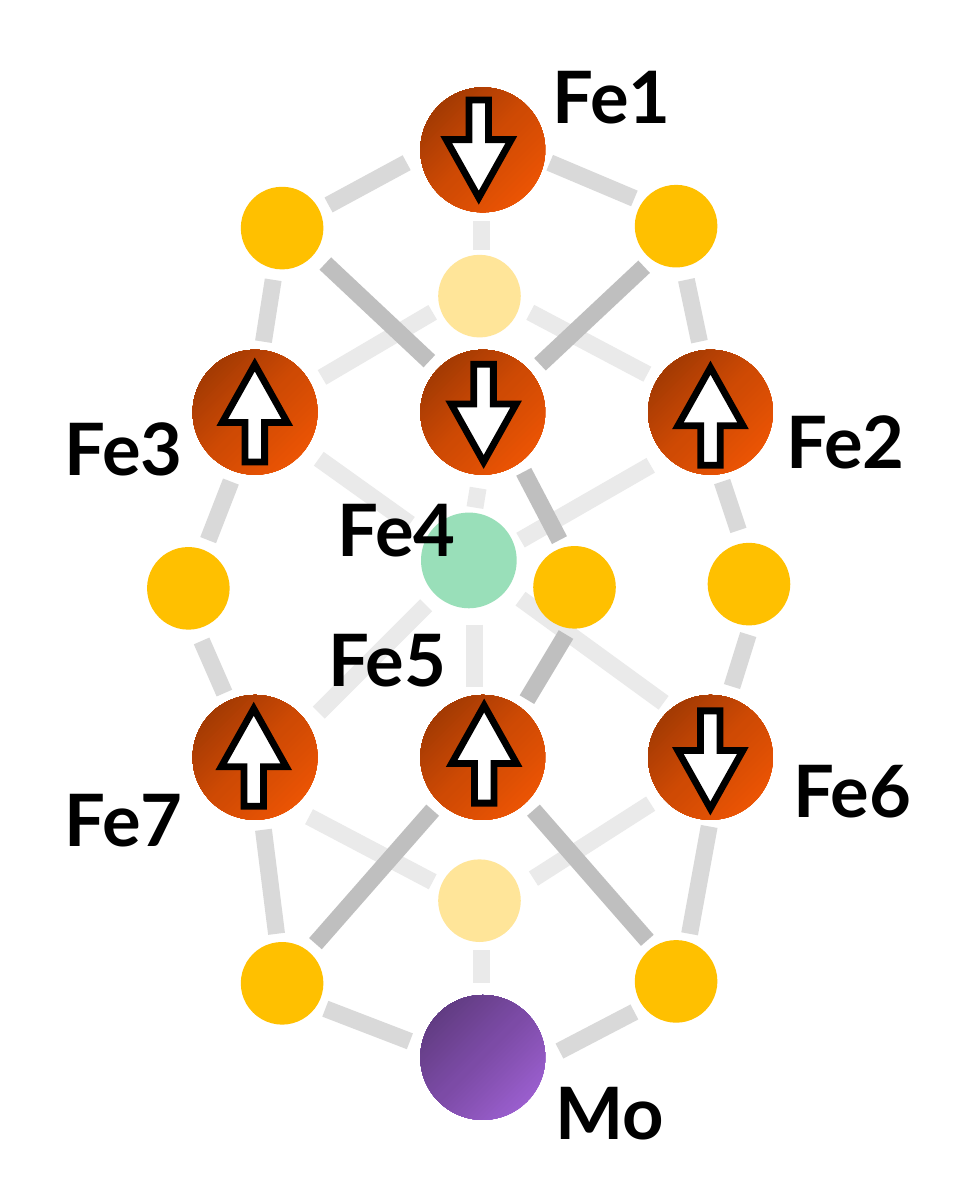
from lxml.etree import SubElement
from pptx import Presentation
from pptx.dml.color import RGBColor
from pptx.enum.shapes import MSO_CONNECTOR, MSO_SHAPE
from pptx.enum.text import MSO_AUTO_SIZE
from pptx.oxml import parse_xml
from pptx.oxml.ns import nsdecls, qn
from pptx.util import Inches, Pt

THEME = {
    "font": "Lato", "label_size": Pt(16), "label": "000000",
    "bond_width": Pt(3.75), "arrow_width": Pt(1.5),
    "far": "EAEAEA", "middle": "D9D9D9", "near": "BFBFBF",
    "sulfur": "FFC000", "carbon": "00B050", "arrow": "FFFFFF", "outline": "000000",
    "iron": ((0, "923403"), (50, "CF4A04"), (100, "F65804")),
    "molybdenum": ((0, "573674"), (49, "7C4BA6"), (100, "A666DD")),
}

deck = Presentation()
deck.slide_width, deck.slide_height = Inches(3), Inches(3.7)
page = deck.slides.add_slide(deck.slide_layouts[6])
cluster = page.shapes.add_group_shape().shapes

# Square grid of 30 columns by 37 rows
CELL = deck.slide_width / 30


def draw_bonds(depth, bonds):
    for ends in bonds:
        bond = cluster.add_connector(MSO_CONNECTOR.STRAIGHT, *(round(CELL * end) for end in ends))
        bond.line.color.rgb = RGBColor.from_string(THEME[depth])
        bond.line.width = THEME["bond_width"]
        SubElement(bond._element.spPr, qn("a:effectLst"))


def draw_shape(shapes, preset, column, row, width, height):
    """Place a plain shape by its centre."""
    shape = shapes.add_shape(preset, round(CELL * (column - width / 2)), round(CELL * (row - height / 2)),
                             round(CELL * width), round(CELL * height))
    shape.shadow.inherit = False
    return shape


# Bonds behind the atoms
draw_bonds("far", [(16, 18.4, 20.4, 21.6), (14.6, 19.2, 14.6, 21.1)])

# Metal atoms with a gradient lit from one corner
LEFT, CENTRE, RIGHT = 7.84, 14.84, 21.84
TOP, UPPER, LOWER, BOTTOM = 4.61, 12.67, 23.28, 32.5
metals = [("iron", CENTRE, TOP), ("molybdenum", CENTRE, BOTTOM)]
metals += [("iron", column, row) for row in (UPPER, LOWER) for column in (LEFT, CENTRE, RIGHT)]
for metal, column, row in metals:
    atom = draw_shape(cluster, MSO_SHAPE.OVAL, column, row, 3.84, 3.84)
    atom.line.fill.background()
    stops = "".join(f'<a:gs pos="{share * 1000}"><a:srgbClr val="{color}"/></a:gs>'
                    for share, color in THEME[metal])
    gradient = parse_xml(
        f'<a:gradFill {nsdecls("a")} rotWithShape="1"><a:gsLst>{stops}</a:gsLst>'
        '<a:path path="circle"><a:fillToRect r="100000" b="100000"/></a:path></a:gradFill>')
    atom._element.spPr.insert(2, gradient)

# Sulfur and carbon atoms: column, row, diameter, opacity in percent
light_atoms = [
    ("sulfur", 8.67, 7.01, 2.54, 100), ("sulfur", 20.78, 6.95, 2.54, 100),
    ("sulfur", 8.67, 30.22, 2.54, 100), ("sulfur", 20.78, 30.16, 2.54, 100),
    ("sulfur", 14.74, 9.1, 2.54, 40), ("sulfur", 14.74, 27.68, 2.54, 40),
    ("carbon", 14.41, 17.22, 2.94, 40), ("sulfur", 17.66, 18.05, 2.54, 100),
    ("sulfur", 5.79, 18.08, 2.54, 100), ("sulfur", 23.02, 17.95, 2.54, 100),
]
for element, column, row, diameter, opacity in light_atoms:
    atom = draw_shape(cluster, MSO_SHAPE.OVAL, column, row, diameter, diameter)
    atom.fill.solid()
    atom.fill.fore_color.rgb = RGBColor.from_string(THEME[element])
    atom.line.fill.background()
    if opacity < 100:
        color = atom._element.spPr.find(qn("a:solidFill"))[0]
        SubElement(color, qn("a:alpha"), val=str(opacity * 1000))

# Bonds in front of the atoms, from far to near
draw_bonds("far", [
    (9.8, 14.1, 12.6, 16.1), (14.7, 15, 14.6, 15.6), (16, 16.6, 20, 14.3),
    (9.8, 21.9, 13.1, 18.6), (9.5, 25.1, 13.3, 27.1), (16.4, 27, 20, 24.7),
    (14.8, 29.2, 14.8, 30.2), (16.3, 9.6, 19.9, 11.5), (9.9, 11.6, 13.3, 9.6),
    (14.8, 6.8, 14.8, 7.7),
])
draw_bonds("middle", [
    (22.2, 14.8, 22.7, 16.3), (23, 19.5, 22.5, 21.1), (7.1, 14.8, 6.4, 16.6),
    (6.2, 19.7, 6.9, 21.3), (19.5, 31.1, 17.2, 32.3), (12.6, 32, 10, 31),
    (8.1, 25.5, 8.5, 28.7), (21.8, 25.4, 21.2, 28.7), (19.5, 6.1, 16.9, 5),
    (12.5, 5, 10.1, 6.3), (8.4, 8.6, 8.1, 10.5), (21.1, 8.6, 21.5, 10.5),
])
draw_bonds("near", [
    (16.1, 14.5, 17.2, 16.6), (17.4, 19.5, 16.2, 21.5), (13.3, 24.9, 9.7, 29),
    (16.4, 24.9, 19.9, 28.9), (10, 8.1, 13.2, 11.1), (16.6, 11.2, 19.8, 8.2),
])

# Atom labels
labels = [
    ("Fe1", 16, 1.1), ("Fe3", 1, 11.9), ("Fe4", 9.4, 14.4), ("Fe2", 23.2, 11.7),
    ("Fe7", 1, 23.3), ("Fe5", 9.1, 18.4), ("Fe6", 23.4, 22.4), ("Mo", 16.1, 32.3),
]
for name, column, row in labels:
    box = cluster.add_textbox(*(round(CELL * length) for length in (column, row, 7.1, 3.7)))
    box.text_frame.word_wrap = True
    box.text_frame.auto_size = MSO_AUTO_SIZE.SHAPE_TO_FIT_TEXT
    para = box.text_frame.paragraphs[0]
    para.text = name
    para.font.name = THEME["font"]
    para.font.size = THEME["label_size"]
    para.font.bold = True
    para.font.color.rgb = RGBColor.from_string(THEME["label"])

# Spin arrows: centre and rotation, 180 pointing up
spins = [
    (14.72, 4.58, 0), (7.83, 12.7, 180), (14.87, 12.7, 0), (21.84, 12.8, 180),
    (21.84, 23.35, 0), (14.88, 23.18, 180), (7.8, 23.28, 180),
]
for column, row, rotation in spins:
    arrow = draw_shape(page.shapes, MSO_SHAPE.DOWN_ARROW, column, row, 2, 3)
    arrow.adjustments[0], arrow.adjustments[1] = 0.3, 0.89
    arrow.rotation = rotation
    arrow.fill.solid()
    arrow.fill.fore_color.rgb = RGBColor.from_string(THEME["arrow"])
    arrow.line.color.rgb = RGBColor.from_string(THEME["outline"])
    arrow.line.width = THEME["arrow_width"]
    SubElement(arrow._element.spPr.find(qn("a:ln")), qn("a:miter"), lim="800000")

deck.save("out.pptx")
